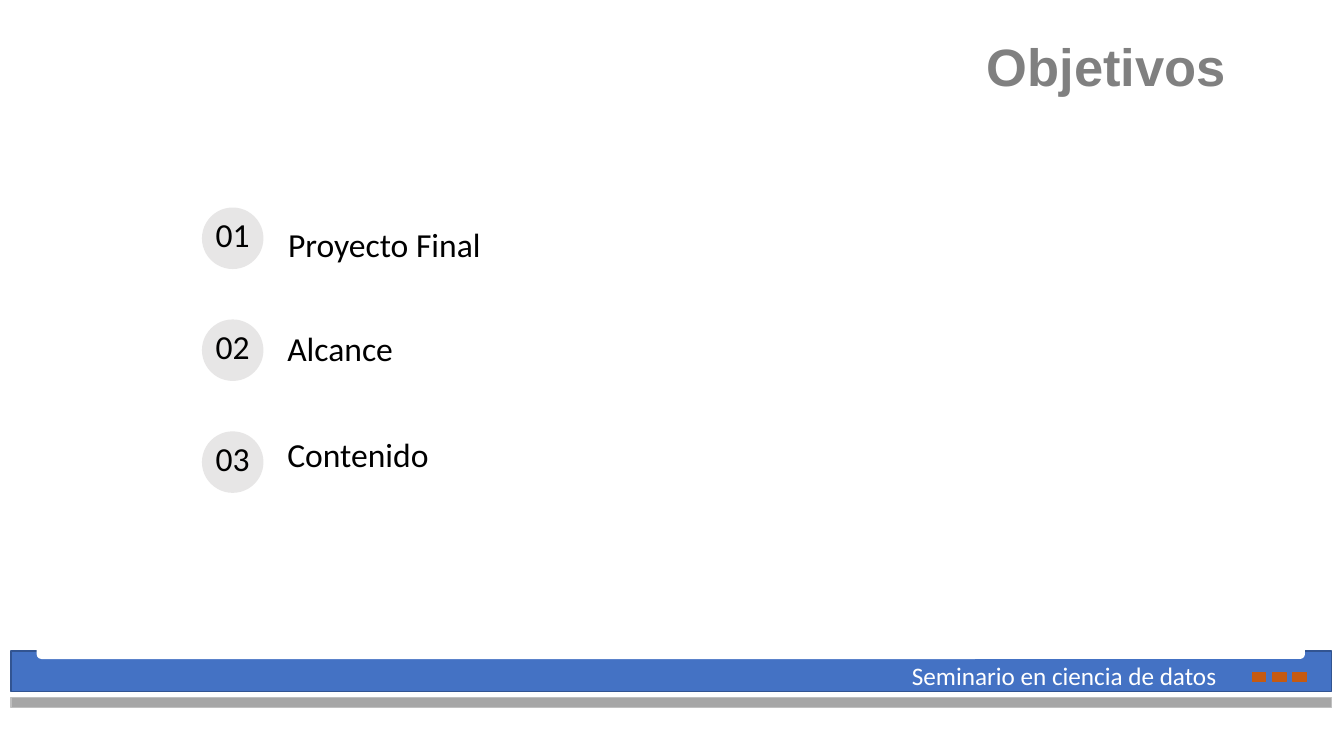
from dataclasses import dataclass

from pptx import Presentation
from pptx.dml.color import RGBColor
from pptx.enum.shapes import MSO_SHAPE
from pptx.enum.text import MSO_ANCHOR, PP_ALIGN
from pptx.slide import Slide
from pptx.util import Cm, Pt

COLORS = {
    "blue": "4472C4",
    "dark_blue": "325491",
    "white": "FFFFFF",
    "gray": "A6A6A6",
    "light_gray": "BFBFBF",
    "orange": "C55A11",
    "circle": "E7E6E6",
    "title": "808080",
    "black": "000000",
}


@dataclass
class Box:
    """Position and size in centimetres."""
    left: float
    top: float
    width: float
    height: float

    def lengths(self) -> list[Cm]:
        return [Cm(value) for value in (self.left, self.top, self.width, self.height)]


@dataclass
class TextStyle:
    """Text formatting; insets are left, top, right, bottom in centimetres."""
    size: float
    color: str
    font: str = "Calibri"
    bold: bool = False
    align: PP_ALIGN = PP_ALIGN.LEFT
    anchor: MSO_ANCHOR = MSO_ANCHOR.TOP
    line_spacing: float = 1.0
    space_after: float = 0
    insets: tuple[float, float, float, float] = (0.25, 0.13, 0.25, 0.13)


@dataclass
class Objective:
    label: str
    box: Box


FOOTER_STYLE = TextStyle(18, "white")
TITLE_STYLE = TextStyle(37.5, "title", "Arial", True, PP_ALIGN.RIGHT, MSO_ANCHOR.BOTTOM,
                        0.7, insets=(0.25, 0.13, 0.62, 0.13))
NUMBER_STYLE = TextStyle(24, "black", align=PP_ALIGN.CENTER, line_spacing=0.9,
                         insets=(0.25, 0.51, 0.25, 0.25))
LABEL_STYLE = TextStyle(24, "black", line_spacing=0.9, space_after=12,
                        insets=(0.25, 0, 0.25, 0.25))

OBJECTIVES = [
    Objective("Proyecto Final", Box(7.01, 5.77, 20.29, 1.55)),
    Objective("Alcance", Box(6.99, 8.38, 17.78, 1.93)),
    Objective("Contenido", Box(6.99, 11.05, 14.35, 1.57)),
]
OBJECTIVE_PITCH = 2.82
SQUARE_PITCH = 0.51


def add_filled(slide: Slide, kind: MSO_SHAPE, box: Box, fill: str, line: str = "") -> None:
    shape = slide.shapes.add_shape(kind, *box.lengths())
    shape.shadow.inherit = False
    shape.fill.solid()
    shape.fill.fore_color.rgb = RGBColor.from_string(COLORS[fill])
    if line:
        shape.line.color.rgb = RGBColor.from_string(COLORS[line])
        shape.line.width = Pt(1)
    else:
        shape.line.fill.background()


def add_text(slide: Slide, text: str, box: Box, style: TextStyle) -> None:
    frame = slide.shapes.add_textbox(*box.lengths()).text_frame
    frame.word_wrap = True
    frame.vertical_anchor = style.anchor
    (frame.margin_left, frame.margin_top,
     frame.margin_right, frame.margin_bottom) = [Cm(inset) for inset in style.insets]
    paragraph = frame.paragraphs[0]
    paragraph.alignment = style.align
    paragraph.line_spacing = style.line_spacing
    paragraph.space_after = Pt(style.space_after)
    run = paragraph.add_run()
    run.text = text
    run.font.name = style.font
    run.font.size = Pt(style.size)
    run.font.bold = style.bold
    run.font.color.rgb = RGBColor.from_string(COLORS[style.color])


def add_footer(slide: Slide) -> None:
    add_filled(slide, MSO_SHAPE.RECTANGLE, Box(0.28, 16.41, 33.27, 1.02), "blue", "dark_blue")
    add_filled(slide, MSO_SHAPE.ROUNDED_RECTANGLE, Box(0.94, 15.93, 31.93, 0.66),
               "white", "white")
    add_filled(slide, MSO_SHAPE.RECTANGLE, Box(0.28, 17.58, 33.27, 0.25), "gray", "light_gray")
    for index in range(3):
        square = Box(31.57 + index * SQUARE_PITCH, 16.94, 0.33, 0.23)
        add_filled(slide, MSO_SHAPE.RECTANGLE, square, "orange", "orange")
    add_text(slide, "Seminario en ciencia de datos", Box(22.73, 16.51, 8.76, 1.02), FOOTER_STYLE)


def add_objectives(slide: Slide) -> None:
    for index, objective in enumerate(OBJECTIVES):
        offset = index * OBJECTIVE_PITCH
        add_filled(slide, MSO_SHAPE.OVAL, Box(5.09, 5.23 + offset, 1.55, 1.55), "circle")
        add_text(slide, f"{index + 1:02}", Box(4.72, 5 + offset, 2.29, 1.55), NUMBER_STYLE)
        add_text(slide, objective.label, objective.box, LABEL_STYLE)


def main() -> None:
    presentation = Presentation()
    presentation.slide_width = Cm(33.87)
    presentation.slide_height = Cm(19.05)
    slide = presentation.slides.add_slide(presentation.slide_layouts[6])
    add_footer(slide)
    add_text(slide, "Objetivos", Box(3.58, 1.02, 27.94, 1.52), TITLE_STYLE)
    add_objectives(slide)
    presentation.save("out.pptx")


if __name__ == "__main__":
    main()
